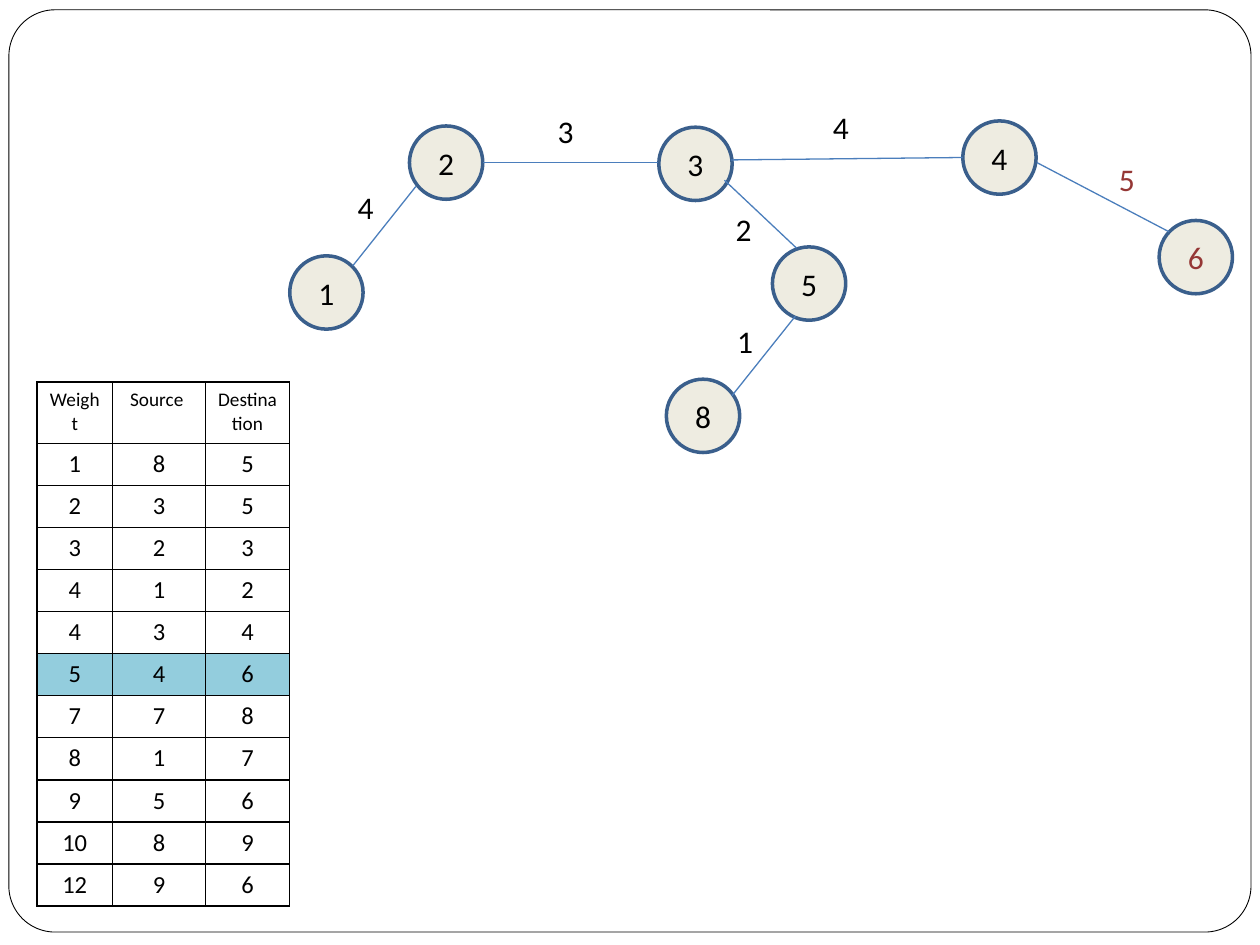
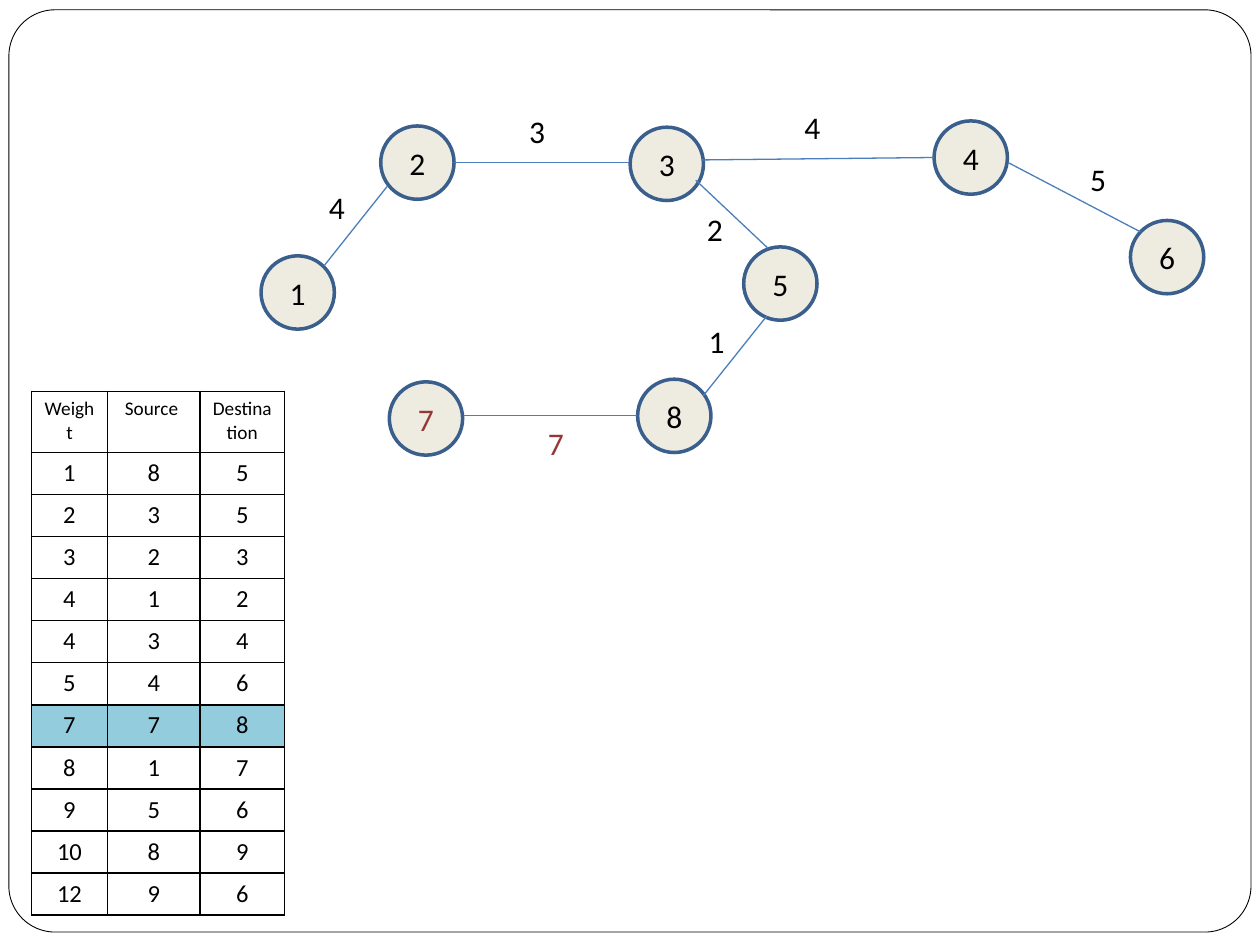
"""Build two slides that grow a minimum spanning tree beside its sorted edge list."""
from lxml.etree import SubElement
from pptx import Presentation
from pptx.dml.color import RGBColor
from pptx.enum.shapes import MSO_CONNECTOR, MSO_SHAPE
from pptx.enum.text import MSO_ANCHOR, MSO_AUTO_SIZE, PP_ALIGN
from pptx.oxml import parse_xml
from pptx.oxml.ns import nsdecls, qn
from pptx.util import Pt

COLORS = {
    "text": "000000",
    "accent": "953735",
    "node": "EEECE1",
    "node_line": "3A5F8C",
    "edge": "4B7EBC",
    "active_row": "93CDDD",
}
NODE_SIZE = 41.9
NODES = [
    ("8", 380.8, 216.7),
    ("5", 441.4, 141.1),
    ("3", 376.5, 72.7),
    ("2", 234, 72),
    ("1", 165.6, 146.2),
    ("4", 550.2, 69.1),
    ("6", 662.4, 126),
    ("7", 238.9, 218.2),
]
EDGES = [
    ("1", (418.3, 226.1), (454.5, 180.7), (414.2, 180.7)),
    ("2", (455.2, 141.8), (414, 103), (413.2, 116.6)),
    ("3", (275.9, 92.9), (375.9, 92.9), (311.6, 60.5)),
    ("4", (201.6, 151.9), (237.6, 106.6), (197.2, 103.7)),
    ("4", (417.6, 91.4), (550.1, 90), (468.9, 58.3)),
    ("5", (592.5, 92.9), (668.1, 132.5), (632.3, 87.8)),
    ("7", (281.4, 237.6), (380.7, 237.6), (322.4, 239)),
]
EDGE_ROWS = [
    ("Weight", "Source ", "Destination"),
    (1, 8, 5), (2, 3, 5), (3, 2, 3), (4, 1, 2), (4, 3, 4), (5, 4, 6),
    (7, 7, 8), (8, 1, 7), (9, 5, 6), (10, 8, 9), (12, 9, 6),
]
COLUMN_WIDTHS = [43.4, 52.9, 48.3]
HEADER_HEIGHT, ROW_HEIGHT = 34.9, 24.05
STEPS = [
    {"edge_count": 6, "shift": 0, "table_left": 21, "table_top": 218.4},
    {"edge_count": 7, "shift": -16.4, "table_left": 18, "table_top": 223.6},
]


def write_text(text_frame, text, size, color, alignment):
    """Put one formatted paragraph into a text frame."""
    paragraph = text_frame.paragraphs[0]
    paragraph.text = text
    paragraph.alignment = alignment
    for name, value in {"name": "Calibri", "size": Pt(size), "bold": False}.items():
        setattr(paragraph.font, name, value)
    paragraph.font.color.rgb = RGBColor.from_string(COLORS[color])


def set_line(shape, color, width):
    """Colour an outline and drop the theme shadow."""
    shape.line.color.rgb = RGBColor.from_string(COLORS[color])
    shape.line.width = Pt(width)
    SubElement(shape.element.spPr, qn("a:effectLst"))


presentation = Presentation()
presentation.slide_width, presentation.slide_height = Pt(720), Pt(540)
layout = presentation.slide_layouts[6]

for step in STEPS:
    slide = presentation.slides.add_slide(layout)
    edge_count, shift = step["edge_count"], step["shift"]

    if step is STEPS[0]:
        frame = slide.shapes.add_shape(
            MSO_SHAPE.ROUNDED_RECTANGLE, Pt(5.1), Pt(5.6), Pt(709.8), Pt(527))
        frame.adjustments[0] = 0.05
        frame.fill.background()
        set_line(frame, "text", 0.5)
        layout.shapes.element.append(frame.element)

    visible_nodes = NODES[:edge_count + 1]
    for node in visible_nodes:
        label, left, top = node
        circle = slide.shapes.add_shape(
            MSO_SHAPE.OVAL, Pt(left + shift), Pt(top), Pt(NODE_SIZE), Pt(NODE_SIZE))
        circle.fill.solid()
        circle.fill.fore_color.rgb = RGBColor.from_string(COLORS["node"])
        set_line(circle, "node_line", 2)
        circle.text_frame.vertical_anchor = MSO_ANCHOR.MIDDLE
        color = "accent" if node is visible_nodes[-1] else "text"
        write_text(circle.text_frame, label, 18, color, PP_ALIGN.CENTER)

    visible_edges = EDGES[:edge_count]
    for edge in visible_edges:
        weight, start, end, label_position = edge
        connector = slide.shapes.add_connector(
            MSO_CONNECTOR.STRAIGHT, Pt(start[0] + shift), Pt(start[1]),
            Pt(end[0] + shift), Pt(end[1]))
        set_line(connector, "edge", 0.75)
        weight_box = slide.shapes.add_textbox(
            Pt(label_position[0] + shift), Pt(label_position[1]), Pt(22.3), Pt(29))
        weight_box.text_frame.word_wrap = False
        weight_box.text_frame.auto_size = MSO_AUTO_SIZE.SHAPE_TO_FIT_TEXT
        color = "accent" if edge is visible_edges[-1] else "text"
        write_text(weight_box.text_frame, weight, 18, color, PP_ALIGN.LEFT)

    table_height = HEADER_HEIGHT + ROW_HEIGHT * (len(EDGE_ROWS) - 1)
    table = slide.shapes.add_table(
        len(EDGE_ROWS), len(COLUMN_WIDTHS), Pt(step["table_left"]),
        Pt(step["table_top"]), Pt(sum(COLUMN_WIDTHS)), Pt(table_height)).table
    table.first_row = table.horz_banding = False
    for column, width in zip(table.columns, COLUMN_WIDTHS):
        column.width = Pt(width)
    for row_index, values in enumerate(EDGE_ROWS):
        table.rows[row_index].height = Pt(ROW_HEIGHT if row_index else HEADER_HEIGHT)
        for column_index, value in enumerate(values):
            cell = table.cell(row_index, column_index)
            cell.margin_top = cell.margin_bottom = Pt(3.4)
            size = 14 if row_index else 11
            write_text(cell.text_frame, str(value), size, "text", PP_ALIGN.CENTER)
            cell_properties = cell._tc.get_or_add_tcPr()
            for side in ("lnL", "lnR", "lnT", "lnB"):
                cell_properties.append(parse_xml(
                    f'<a:{side} {nsdecls("a")} w="{Pt(1)}"><a:solidFill>'
                    f'<a:srgbClr val="{COLORS["text"]}"/></a:solidFill></a:{side}>'))
            if row_index == edge_count:
                cell.fill.solid()
                cell.fill.fore_color.rgb = RGBColor.from_string(COLORS["active_row"])
            else:
                cell.fill.background()

presentation.save("out.pptx")
